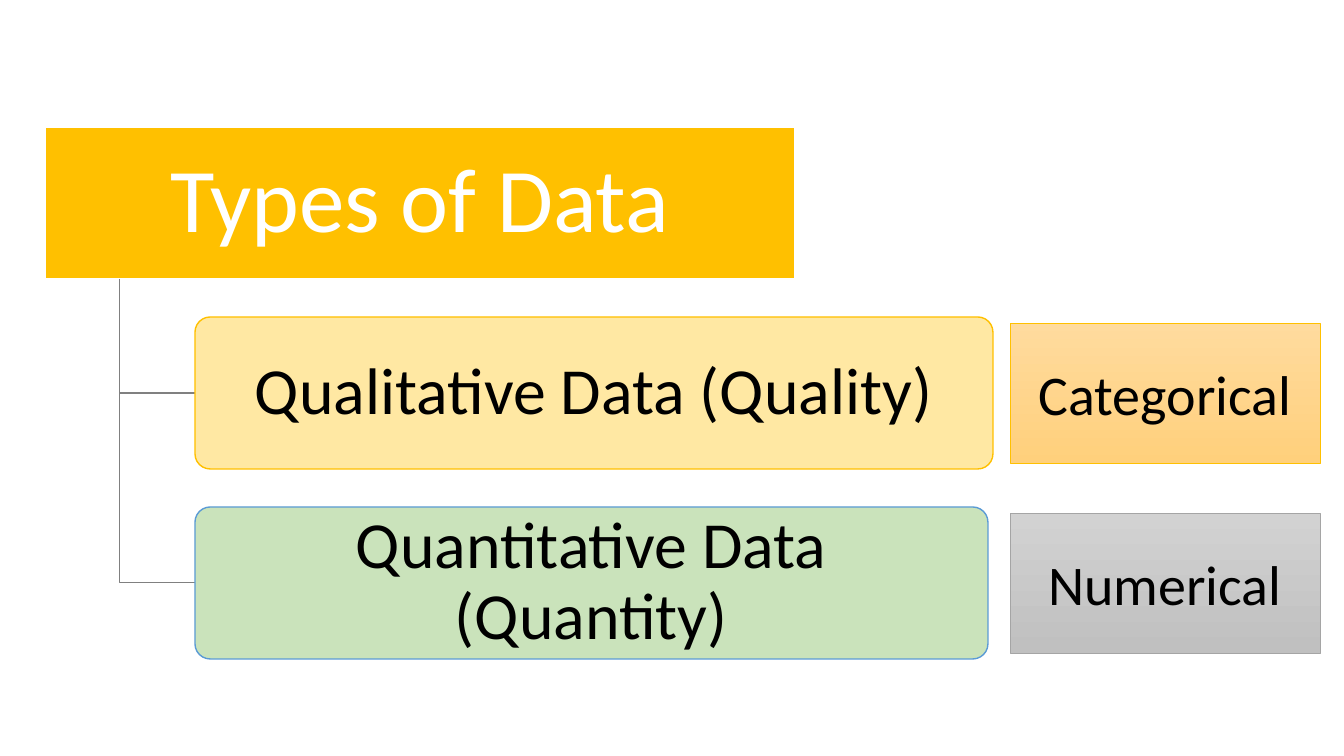
import pptx
import pptx.util
import pptx.dml.color
import pptx.enum.shapes
import pptx.enum.text
import pptx.oxml.ns
import lxml.etree

RGB = pptx.dml.color.RGBColor
SHAPES = pptx.enum.shapes.MSO_SHAPE
PX = 9144000 / 1008

WHITE = RGB(0xFF, 0xFF, 0xFF)
BLACK = RGB(0x00, 0x00, 0x00)
GOLD = RGB(0xFF, 0xC0, 0x00)
PALE_GOLD = RGB(0xFF, 0xE6, 0x99)
BLUE = RGB(0x5B, 0x9B, 0xD5)
PALE_GREEN = RGB(0xC5, 0xE0, 0xB4)
GREY = RGB(0xA5, 0xA5, 0xA5)
BRANCH_GREY = RGB(0x80, 0x80, 0x80)
ORANGE_TOP, ORANGE_BOTTOM = RGB(0xFF, 0xDB, 0x9E), RGB(0xFF, 0xD0, 0x7C)
GREY_TOP, GREY_BOTTOM = RGB(0xD2, 0xD2, 0xD2), RGB(0xC0, 0xC0, 0xC0)

BAR_HEIGHT = 152
BAR_PITCH = 190
INDENT = 150
TAG_INSET = 6


def px(length):
    """Turn whole px into EMU."""
    return pptx.util.Emu(round(length * PX))


def child(parent, tag, **attributes):
    """Append a DrawingML element."""
    return lxml.etree.SubElement(parent, pptx.oxml.ns.qn(tag), attributes)


def write(shape, text, size, color=BLACK, inset=15, spacing=0.9):
    """Put centred text into a shape."""
    frame = shape.text_frame
    frame.auto_size = pptx.enum.text.MSO_AUTO_SIZE.NONE
    frame.word_wrap = True
    frame.vertical_anchor = pptx.enum.text.MSO_ANCHOR.MIDDLE
    frame.margin_left = frame.margin_right = px(inset)
    frame.margin_top = frame.margin_bottom = px(12)
    paragraph = frame.paragraphs[0]
    paragraph.alignment = pptx.enum.text.PP_ALIGN.CENTER
    paragraph.line_spacing = spacing
    run = paragraph.add_run()
    run.text = text
    run.font.name = "Calibri"
    run.font.size = pptx.util.Pt(size)
    run.font.color.rgb = color


def outline(shape, color, width=1):
    """Give a shape a plain line and no shadow."""
    shape.shadow.inherit = False
    shape.line.color.rgb = color
    shape.line.width = pptx.util.Pt(width)


def add_heading(slide, left, top, width, height):
    """Turn the title placeholder into the rounded heading bar."""
    heading = slide.shapes.title
    heading.left, heading.top = px(left), px(top)
    heading.width, heading.height = px(width), px(height)
    geometry = child(heading._element.spPr, "a:prstGeom", prst="roundRect")
    child(child(geometry, "a:avLst"), "a:gd", name="adj", fmla="val 10000")
    heading.fill.solid()
    heading.fill.fore_color.rgb = GOLD
    outline(heading, WHITE)
    write(heading, "Types of Data", 65, color=WHITE, inset=19)


def add_branch(slide, left, top, end_x, end_y):
    """Draw the elbow from the heading down and across to a bar."""
    builder = slide.shapes.build_freeform(left, top, scale=PX)
    builder.add_line_segments([(left, end_y), (end_x, end_y)], close=False)
    branch = builder.convert_to_shape()
    branch.fill.background()
    outline(branch, BRANCH_GREY, 0.75)


def add_bar(slide, left, top, width, height, text, fill, line):
    """Add a rounded, slightly transparent bar for one type of data."""
    bar = slide.shapes.add_shape(
        SHAPES.ROUNDED_RECTANGLE, px(left), px(top), px(width), px(height))
    bar.adjustments[0] = 0.1
    bar.fill.solid()
    bar.fill.fore_color.rgb = fill
    tint = bar._element.spPr.find(".//" + pptx.oxml.ns.qn("a:srgbClr"))
    child(tint, "a:alpha", val="90000")
    outline(bar, line)
    write(bar, text, 47)


def add_tag(slide, left, top, width, height, text, shades, line):
    """Add the shaded box that names the kind of values."""
    tag = slide.shapes.add_shape(
        SHAPES.RECTANGLE, px(left), px(top), px(width), px(height))
    tag.fill.gradient()
    tag.fill.gradient_angle = 270
    for stop, shade in zip(tag.fill.gradient_stops, shades):
        stop.color.rgb = shade
    outline(tag, line, 0.5)
    write(tag, text, 40, inset=10, spacing=1.0)


def add_hierarchy(slide, left, top, width):
    """Lay out the heading, its branches, bars and tags in the given box."""
    add_heading(slide, left, top, 750, BAR_HEIGHT)
    types = [
        ("Qualitative Data (Quality)", 798, PALE_GOLD, GOLD,
         "Categorical", (ORANGE_TOP, ORANGE_BOTTOM), GOLD),
        ("Quantitative Data (Quantity)", 793, PALE_GREEN, BLUE,
         "Numerical", (GREY_TOP, GREY_BOTTOM), GREY),
    ]
    bar_left = left + INDENT
    tag_width = 310
    for row, (name, bar_width, fill, line, kind, shades, edge) in enumerate(types, 1):
        bar_top = top + row * BAR_PITCH
        add_branch(slide, left + INDENT // 2, top + BAR_HEIGHT,
                   bar_left, bar_top + BAR_HEIGHT // 2)
        add_bar(slide, bar_left, bar_top, bar_width, BAR_HEIGHT, name, fill, line)
        add_tag(slide, left + width - tag_width, bar_top + TAG_INSET, tag_width,
                BAR_HEIGHT - 2 * TAG_INSET, kind, shades, edge)


def main():
    """Build and save the slide."""
    presentation = pptx.Presentation()
    presentation.slide_width, presentation.slide_height = px(1344), px(756)
    slide = presentation.slides.add_slide(presentation.slide_layouts[5])
    add_hierarchy(slide, 45, 127, 1275)
    presentation.save("out.pptx")


if __name__ == "__main__":
    main()
